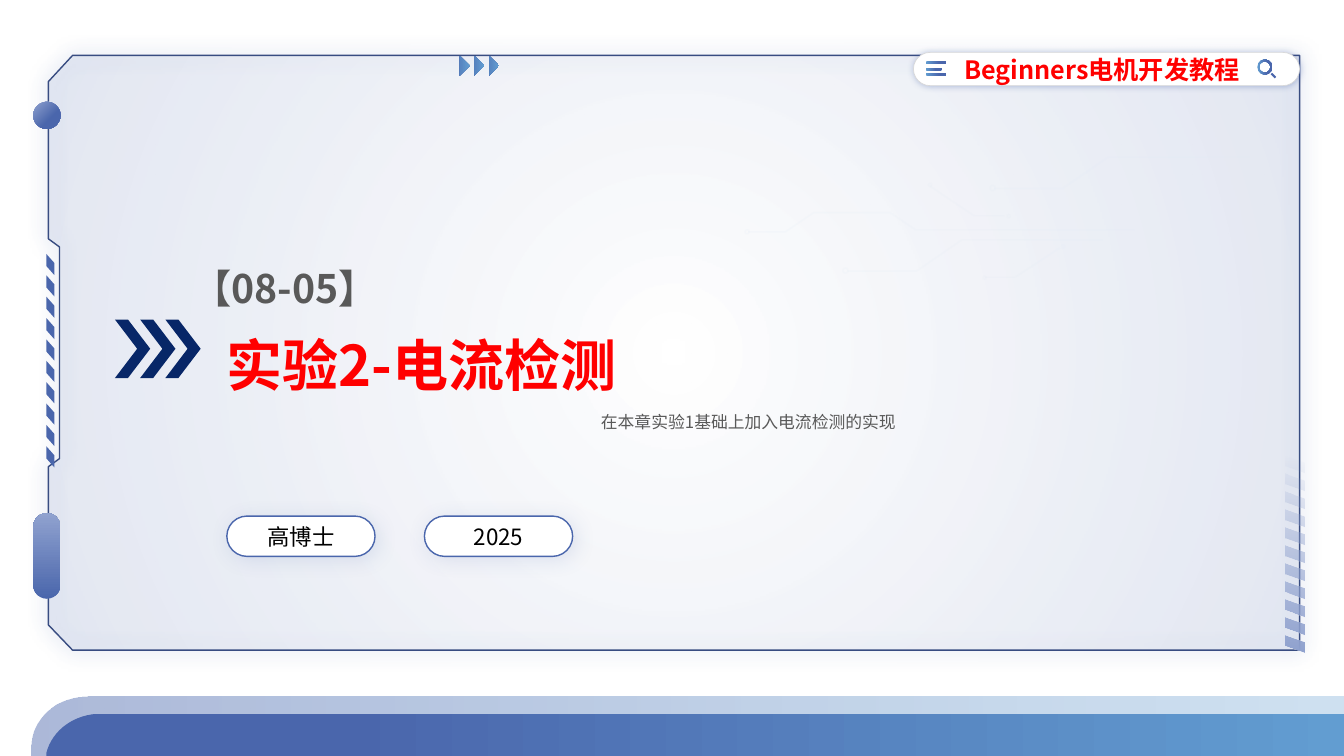
from lxml import etree
from pptx import Presentation
from pptx.dml.color import RGBColor
from pptx.enum.shapes import MSO_CONNECTOR, MSO_SHAPE
from pptx.enum.text import MSO_ANCHOR, MSO_AUTO_SIZE, PP_ALIGN
from pptx.oxml.ns import qn
from pptx.util import Pt

ROUNDED, OVAL, CHEVRON = MSO_SHAPE.ROUNDED_RECTANGLE, MSO_SHAPE.OVAL, MSO_SHAPE.CHEVRON
TRIANGLE, DONUT = MSO_SHAPE.RIGHT_TRIANGLE, MSO_SHAPE.DONUT
LEFT, CENTER = PP_ALIGN.LEFT, PP_ALIGN.CENTER
TOP, MIDDLE = MSO_ANCHOR.TOP, MSO_ANCHOR.MIDDLE

SCALE = 9144
FONT = "Noto Sans CJK SC"
COLORS = {
    "blue": "4A66AC", "pale": "90A2CF", "sky": "629DD1", "edge": "384C81",
    "navy": "002060", "track": "E0EBF6", "white": "FFFFFF", "rim": "D9D9D9",
    "red": "FF0000", "gray": "595959", "black": "000000",
}

TITLE = "实验2-电流检测"
SUMMARY = "在本章实验1基础上加入电流检测的实现"
SECTION = "【08-05】"
COURSE = "Beginners电机开发教程"
PILLS = [("高博士", 225), ("2025", 421)]

FRAME = [(72, 55), (1289, 55), (1289, 645), (72, 645), (48, 620), (48, 463),
         (59, 455), (59, 245), (48, 237), (48, 81)]
TRACKS = [
    [(1094, 238), (954, 238), (909, 269), (841, 269)],
    [(1239, 156), (1099, 156), (1054, 187), (986, 187)],
    [(923, 185), (966, 214), (996, 214)],
    [(1051, 246), (1007, 275), (977, 275)],
    [(1125, 228), (908, 228), (883, 211), (807, 211), (779, 230), (742, 230)],
]
NODES = [(836, 266, 5), (982, 184, 5), (999, 213, 3), (921, 182, 3),
         (975, 274, 3), (1053, 243, 3), (739, 228, 4)]
BANDS = [
    ([(31, 740), (31, 713), (56, 691), (87, 691)], [(0, "blue", 46), (100, "sky", 31)]),
    ([(46, 747), (52, 724), (74, 708), (101, 708)], [(23, "blue", 100), (100, "sky", 100)]),
]
MENU_BARS = [(61, 21), (67, 16), (72, 21)]
ICON_STOPS = [(0, "sky", 100), (64, "blue", 100)]

deck = Presentation()
deck.slide_width, deck.slide_height = 1333 * SCALE, 750 * SCALE
page = deck.slides.add_slide(deck.slide_layouts[0])


def rgb(name):
    return RGBColor.from_string(COLORS[name])


def add_color(parent, name, alpha):
    color = etree.SubElement(parent, qn("a:srgbClr"), val=COLORS[name])
    if alpha < 100:
        etree.SubElement(color, qn("a:alpha"), val=str(alpha * 1000))


def set_gradient(shape, stops, angle):
    shape.fill.gradient()
    gradient = shape.element.spPr.find(qn("a:gradFill"))
    for child in list(gradient):
        gradient.remove(child)
    stop_list = etree.SubElement(gradient, qn("a:gsLst"))
    for place, name, alpha in stops:
        stop = etree.SubElement(stop_list, qn("a:gs"), pos=str(place * 1000))
        add_color(stop, name, alpha)
    if angle is None:
        circle = etree.SubElement(gradient, qn("a:path"), path="circle")
        etree.SubElement(circle, qn("a:fillToRect"),
                         {side: "50000" for side in "ltrb"})
    else:
        etree.SubElement(gradient, qn("a:lin"), ang=str(angle * 60000), scaled="0")


def paint(shape, fill=None, angle=0, line=None, shadow=None):
    shape.shadow.inherit = False
    if fill is None:
        shape.fill.background()
    elif isinstance(fill, str):
        shape.fill.solid()
        shape.fill.fore_color.rgb = rgb(fill)
    else:
        set_gradient(shape, fill, angle)
    if line is None:
        shape.line.fill.background()
    else:
        name, width, alpha = line
        shape.line.width = Pt(width)
        shape.line.color.rgb = rgb(name)
        if alpha < 100:
            color = shape.element.spPr.find(qn("a:ln")).find(".//" + qn("a:srgbClr"))
            etree.SubElement(color, qn("a:alpha"), val=str(alpha * 1000))
    if shadow:
        alpha, blur, distance, angle = shadow
        effects = shape.element.spPr.find(qn("a:effectLst"))
        outer = etree.SubElement(effects, qn("a:outerShdw"), blurRad=str(Pt(blur)),
                                 dist=str(Pt(distance)), dir=str(angle * 60000),
                                 algn="ctr", rotWithShape="0")
        add_color(outer, "blue", alpha)
    return shape


def preset(kind, x, y, width, height, adjust=None, **style):
    shape = page.shapes.add_shape(kind, x * SCALE, y * SCALE, width * SCALE, height * SCALE)
    if adjust is not None:
        shape.adjustments[0] = adjust
    return paint(shape, **style)


def outline(contours, closed=True, **style):
    scaled = [[(x * SCALE, y * SCALE) for x, y in contour] for contour in contours]
    builder = page.shapes.build_freeform(*scaled[0][0])
    for index, contour in enumerate(scaled):
        if index:
            builder.move_to(*contour[0])
        builder.add_line_segments(contour[1:], close=closed)
    return paint(builder.convert_to_shape(), **style)


def stripes(count, left, right, top, pitch, slant, thick):
    rows = [top + pitch * index for index in range(count)]
    return [[(left, y), (right, y + slant), (right, y + slant + thick), (left, y + thick)]
            for y in rows]


def curve(points, steps=16):
    weights = [((1 - t) ** 3, 3 * t * (1 - t) ** 2, 3 * t * t * (1 - t), t ** 3)
               for t in (step / steps for step in range(steps + 1))]
    return [tuple(sum(w * point[axis] for w, point in zip(row, points)) for axis in (0, 1))
            for row in weights]


def write(box, text, size, color, bold=False, align=LEFT, anchor=TOP, spacing=1.0,
          margins=(0, 0, 0, 0)):
    frame = box.text_frame
    frame.text = text
    frame.word_wrap = True
    frame.auto_size = MSO_AUTO_SIZE.NONE
    frame.vertical_anchor = anchor
    (frame.margin_left, frame.margin_top,
     frame.margin_right, frame.margin_bottom) = [value * SCALE for value in margins]
    para = frame.paragraphs[0]
    para.alignment, para.line_spacing, para.space_before = align, spacing, Pt(0)
    span = para.runs[0]
    span.font.size, span.font.bold, span.font.name = Pt(size), bold, FONT
    span.font.color.rgb = rgb(color)
    etree.SubElement(span.font._element, qn("a:ea"), typeface=FONT)


def place(box, x, y, width, height):
    box.left, box.top, box.width, box.height = [v * SCALE for v in (x, y, width, height)]
    box.element.getparent().append(box.element)


for index in range(3):
    preset(CHEVRON, 114 + 25 * index, 317, 35, 58, 0.63, fill="navy")
outline([FRAME], fill=[(0, "blue", 0), (100, "blue", 10)], angle=None,
        line=("edge", 1, 100), shadow=(70, 15, 0, 0))
preset(ROUNDED, 33, 509, 27, 85, 0.5, fill=[(0, "blue", 100), (100, "pale", 100)], angle=270)
outline(stripes(11, 1275, 1294, 452, 17.7, 7, 11),
        fill=[(0, "pale", 100), (100, "pale", 0)], angle=270)

for track in TRACKS:
    outline([track], closed=False, line=("track", 1, 15))
for x, y, size in NODES:
    preset(OVAL, x, y, size, size, line=("track", 1, 15))

for index in range(3):
    arrow = preset(TRIANGLE, 449 + 14.5 * index, 58, 14, 14,
                   fill=[(0, "blue", 100), (100, "sky", 100)], angle=135)
    arrow.rotation = 225

for corner, stops in BANDS:
    outline([curve(corner) + [(1333, corner[-1][1]), (1333, 750), (corner[0][0], 750)]],
            fill=stops)

preset(OVAL, 33, 101, 27, 27, fill=[(0, "pale", 100), (64, "blue", 100)], angle=45)
outline(stripes(10, 46, 54, 252, 21.2, 9, 12), fill="blue")

for text, x in PILLS:
    pill = preset(ROUNDED, x, 512, 147, 40, 0.5, fill="white",
                  line=("blue", 1, 100), shadow=(15, 15, 3, 45))
    write(pill, text, 16, "black", align=CENTER, anchor=MIDDLE)

header = preset(ROUNDED, 906, 52, 383, 33, 0.5, fill="white",
                line=("rim", 0.5, 100), shadow=(40, 5, 0, 0))
write(header, COURSE, 18, "red", True, CENTER, MIDDLE, margins=(0, 0, 9, 0))
for y, width in MENU_BARS:
    preset(ROUNDED, 918, y, width, 3, 0.5, fill=ICON_STOPS)
preset(DONUT, 1247, 59, 15, 15, 0.13, fill=ICON_STOPS)
handle = page.shapes.add_connector(MSO_CONNECTOR.STRAIGHT, 1261 * SCALE, 73 * SCALE,
                                   1265 * SCALE, 77 * SCALE)
handle.line.color.rgb = rgb("blue")
handle.line.width = Pt(1.5)
etree.SubElement(handle.element.spPr, qn("a:effectLst"))

section = page.shapes.add_textbox(191 * SCALE, 248 * SCALE, 269 * SCALE, 60 * SCALE)
write(section, SECTION, 28, "gray", True, spacing=1.3)

title, summary = page.placeholders
place(title, 225, 308, 798, 98)
write(title, TITLE, 40, "red", True, spacing=1.3)
place(summary, 586, 403, 316, 30)
write(summary, SUMMARY, 12, "gray", margins=(10, 5, 10, 5))

deck.save("out.pptx")
